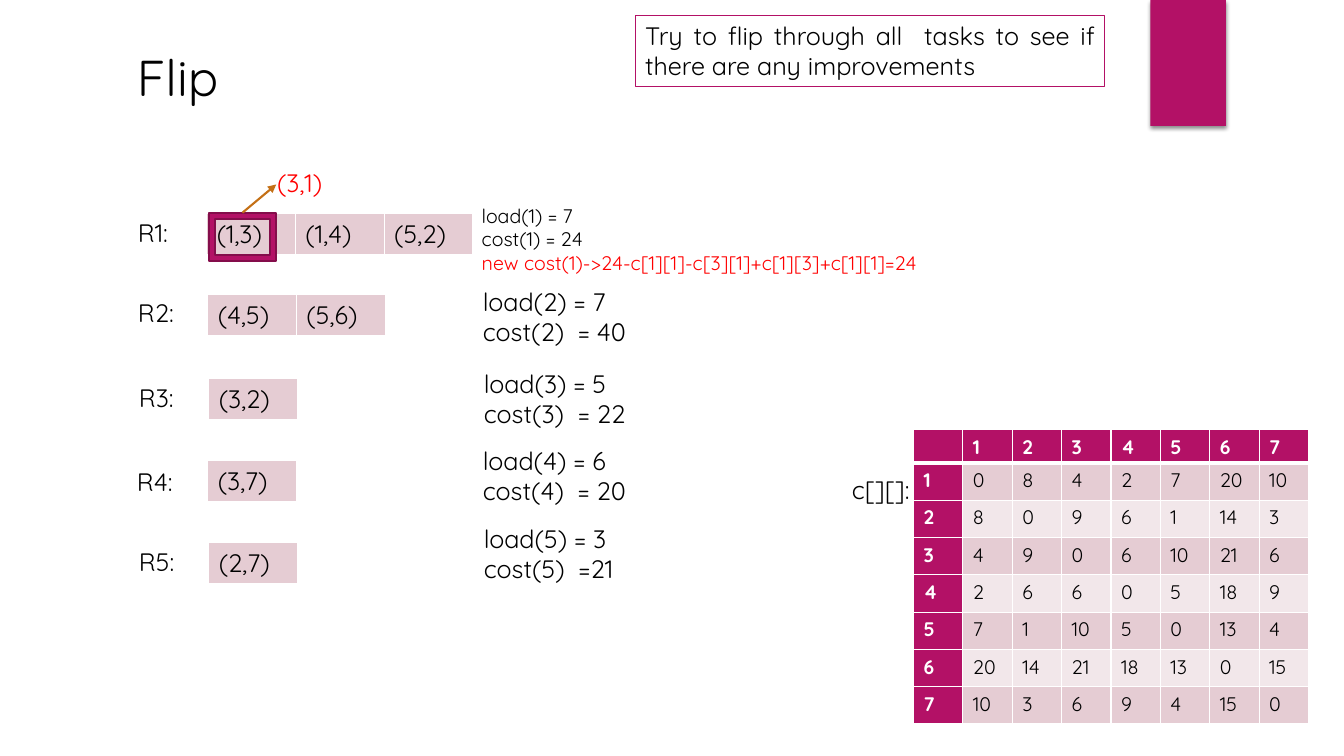
from lxml.etree import SubElement
from pptx import Presentation
from pptx.dml.color import RGBColor
from pptx.enum.shapes import MSO_CONNECTOR, MSO_SHAPE
from pptx.enum.text import MSO_ANCHOR, MSO_AUTO_SIZE, PP_ALIGN
from pptx.oxml.ns import qn
from pptx.util import Inches, Pt

HUES = {
    "brand": "B31166", "edge": "840D4B", "band": "E5CCD3", "pale": "F2E7EA",
    "arrow": "C47016", "red": "FF0000", "black": "000000", "white": "FFFFFF",
}
FONT = "Quicksand"

ROUTES = [
    ("R1:", (1.27, 2.11), ["(1,3)", "(1,4)", "(5,2)"], (2.05, 2.12)),
    ("R2:", (1.27, 2.9), ["(4,5)", "(5,6)"], (2.06, 2.92)),
    ("R3:", (1.28, 3.74), ["(3,2)"], (2.07, 3.75)),
    ("R4:", (1.26, 4.58), ["(3,7)"], (2.06, 4.57)),
    ("R5:", (1.28, 5.37), ["(2,7)"], (2.07, 5.38)),
]
TOTALS = [
    (["load(2) = 7", "cost(2)  = 40"], (4.69, 2.79, 1.75, 0.71)),
    (["load(3) = 5", "cost(3)  = 22"], (4.7, 3.6, 1.75, 0.71)),
    (["load(4) = 6", "cost(4)  = 20"], (4.69, 4.37, 1.75, 0.71)),
    (["load(5) = 3", "cost(5)  =21"], (4.7, 5.14, 1.68, 0.71)),
]
COSTS = [
    [0, 8, 4, 2, 7, 20, 10],
    [8, 0, 9, 6, 1, 14, 3],
    [4, 9, 0, 6, 10, 21, 6],
    [2, 6, 6, 0, 5, 18, 9],
    [7, 1, 10, 5, 0, 13, 4],
    [20, 14, 21, 18, 13, 0, 15],
    [10, 3, 6, 9, 4, 15, 0],
]


def hue(name):
    return RGBColor.from_string(HUES[name])


def apply(item, form):
    for key, value in form.items():
        setattr(item, key, value)


def write(frame, lines, size=18, tint="black", bold=False, align=None):
    for at, line in enumerate(lines):
        para = frame.paragraphs[0] if at == 0 else frame.add_paragraph()
        para.alignment = align
        run = para.add_run()
        run.text = line
        apply(run.font, {"name": FONT, "size": Pt(size), "bold": bold})
        run.font.color.rgb = hue(tint)


def add_text(slide, box, lines, wrap=False, fit=MSO_AUTO_SIZE.SHAPE_TO_FIT_TEXT,
             anchor=MSO_ANCHOR.TOP, **style):
    frame = slide.shapes.add_textbox(*map(Inches, box)).text_frame
    apply(frame, {"word_wrap": wrap, "auto_size": fit, "vertical_anchor": anchor})
    write(frame, lines, **style)
    return frame


def add_block(slide, kind, box, fill=None, line=None, width=1):
    shape = slide.shapes.add_shape(kind, *map(Inches, box))
    shape.shadow.inherit = False
    if fill:
        shape.fill.solid()
        shape.fill.fore_color.rgb = hue(fill)
    else:
        shape.fill.background()
    if line:
        shape.line.color.rgb = hue(line)
        shape.line.width = Pt(width)
    else:
        shape.line.fill.background()
    return shape


def add_shade(shape):
    effects = shape._element.spPr.find(qn("a:effectLst"))
    shade = SubElement(effects, qn("a:outerShdw"), blurRad=str(Pt(3)),
                       dist=str(Pt(2)), dir="5400000", rotWithShape="0")
    color = SubElement(shade, qn("a:srgbClr"), val=HUES["black"])
    SubElement(color, qn("a:alpha"), val="45000")


def edge_cell(cell, base):
    props = cell._tc.get_or_add_tcPr()
    widths = {"a:lnL": 1, "a:lnR": 1, "a:lnT": 1, "a:lnB": base}
    for at, (tag, width) in enumerate(widths.items()):
        line = SubElement(props, qn(tag), w=str(Pt(width)))
        paint = SubElement(line, qn("a:solidFill"))
        SubElement(paint, qn("a:srgbClr"), val=HUES["white"])
        props.insert(at, line)


def fill_cell(cell, text, fill, base=1, **style):
    cell.fill.solid()
    cell.fill.fore_color.rgb = hue(fill)
    edge_cell(cell, base)
    if text:
        write(cell.text_frame, [text], **style)
    else:
        apply(cell, {"margin_top": 0, "margin_bottom": 0})


def add_grid(slide, spot, wide, highs, count):
    box = (*spot, wide * count, sum(highs))
    table = slide.shapes.add_table(len(highs), count, *map(Inches, box)).table
    apply(table, {"first_row": False, "horz_banding": False})
    for col in table.columns:
        col.width = Inches(wide)
    for row, high in zip(table.rows, highs):
        row.height = Inches(high)
    return table


def add_route(slide, label, place, tasks, spot):
    add_text(slide, (*place, 0.56, 0.4), [label])
    table = add_grid(slide, spot, 0.88, [0.41], len(tasks))
    for at, task in enumerate(tasks):
        fill_cell(table.cell(0, at), task, "band")


def add_costs(slide):
    heads = range(1, len(COSTS) + 1)
    rows = [["", *heads]] + [[head, *row] for head, row in zip(heads, COSTS)]
    table = add_grid(slide, (9.06, 4.26), 0.49, [0.31] + [0.37] * len(COSTS), len(rows))
    apply(table, {"first_row": True, "first_col": True})
    for top, row in enumerate(rows):
        for left, value in enumerate(row):
            head = top == 0 or left == 0
            fill = "brand" if head else ("band" if top % 2 else "pale")
            fill_cell(table.cell(top, left), str(value), fill, 1 if top else 3,
                      size=14, tint="white" if head else "black", bold=head)


def add_arrow(slide, start, end):
    points = map(Inches, (2.4, 2.11, *end))
    line = slide.shapes.add_connector(MSO_CONNECTOR.STRAIGHT, *points)
    line.begin_connect(start, 0)
    line.line.color.rgb = hue("arrow")
    line.line.width = Pt(1.5)
    SubElement(line.line._get_or_add_ln(), qn("a:tailEnd"), type="triangle")
    SubElement(line._element.spPr, qn("a:effectLst"))


def add_note(slide):
    note = add_block(slide, MSO_SHAPE.RECTANGLE, (6.3, 0.15, 4.66, 0.71),
                     line="brand", width=0.75)
    apply(note.text_frame, {"word_wrap": True, "vertical_anchor": MSO_ANCHOR.TOP,
                            "auto_size": MSO_AUTO_SIZE.SHAPE_TO_FIT_TEXT})
    write(note.text_frame,
          ["Try to flip through all  tasks to see if there are any improvements"],
          align=PP_ALIGN.JUSTIFY)


def main():
    deck = Presentation()
    apply(deck, {"slide_width": Inches(13.33), "slide_height": Inches(7.5)})
    slide = deck.slides.add_slide(deck.slide_layouts[6])

    add_shade(add_block(slide, MSO_SHAPE.RECTANGLE, (11.41, 0, 0.75, 1.25), "brand"))
    add_text(slide, (1.26, 0.37, 9.58, 0.77), ["Flip"], wrap=True,
             fit=MSO_AUTO_SIZE.NONE, anchor=MSO_ANCHOR.MIDDLE, size=36)
    for route in ROUTES:
        add_route(slide, *route)
    for lines, box in TOTALS:
        add_text(slide, box, lines)
    first = add_text(slide, (4.68, 1.97, 5.2, 0.81), [
        "load(1) = 7", "cost(1) = 24",
        "new cost(1)->24-c[1][1]-c[3][1]+c[1][3]+c[1][1]=24",
    ], wrap=True, size=14)
    first.paragraphs[-1].runs[0].font.color.rgb = hue("red")

    mark = add_block(slide, MSO_SHAPE.FRAME, (2.07, 2.11, 0.67, 0.48),
                     "brand", "edge", 1.5)
    add_arrow(slide, mark, (2.74, 1.83))
    add_text(slide, (2.65, 1.61, 0.74, 0.4), ["(3,1)"], tint="red")
    add_note(slide)
    add_costs(slide)
    add_text(slide, (8.35, 4.66, 0.79, 0.4), ["c[][]:"])
    deck.save("out.pptx")


if __name__ == "__main__":
    main()
